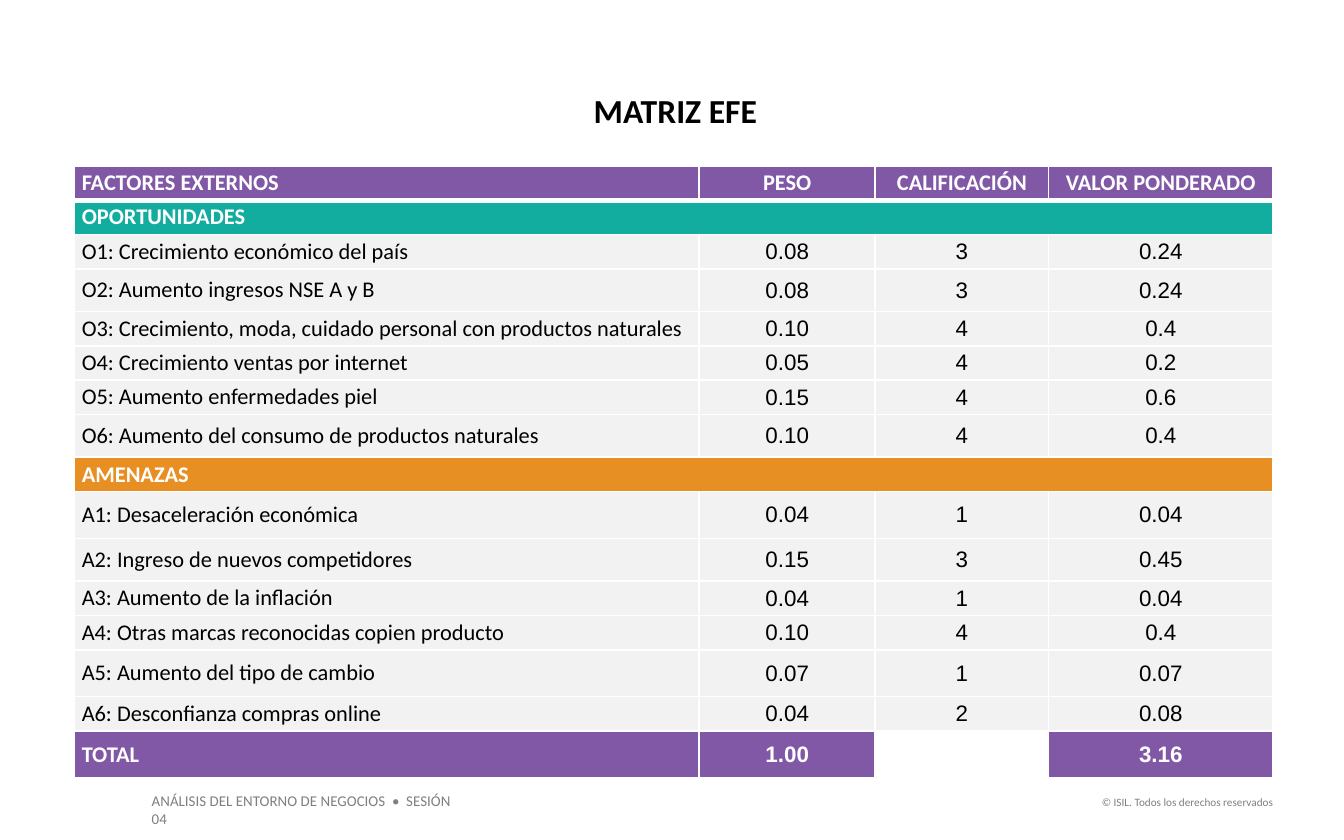
from lxml import etree
from pptx import Presentation
from pptx.dml.color import RGBColor
from pptx.enum import text as t
from pptx.oxml import ns
from pptx.util import Pt

PURPLE = RGBColor(0x80, 0x58, 0xA6)
TEAL = RGBColor(0x13, 0xAD, 0xA0)
ORANGE = RGBColor(0xE8, 0x8F, 0x23)
PALE = RGBColor(0xF2, 0xF2, 0xF2)
GREY = RGBColor(0x7F, 0x7F, 0x7F)
WHITE = RGBColor(0xFF, 0xFF, 0xFF)
BLACK = RGBColor(0, 0, 0)

SHORT, MEDIUM, TALL = 18.4, 22.9, 25.1
COLUMN_WIDTHS = (334.8, 94.3, 92.9, 120.2)

HEADINGS = ("FACTORES EXTERNOS", "PESO", "CALIFICACIÓN", "VALOR PONDERADO")
OPPORTUNITIES = [
    (SHORT, "O1: Crecimiento económico del país", "0.08", "3", "0.24"),
    (MEDIUM, "O2: Aumento ingresos NSE A y B", "0.08", "3", "0.24"),
    (SHORT, "O3: Crecimiento, moda, cuidado personal con productos naturales",
     "0.10", "4", "0.4"),
    (SHORT, "O4: Crecimiento ventas por internet", "0.05", "4", "0.2"),
    (SHORT, "O5: Aumento enfermedades piel", "0.15", "4", "0.6"),
    (MEDIUM, "O6: Aumento del consumo de productos naturales", "0.10", "4", "0.4"),
]
THREATS = [
    (TALL, "A1: Desaceleración económica", "0.04", "1", "0.04"),
    (MEDIUM, "A2: Ingreso de nuevos competidores", "0.15", "3", "0.45"),
    (SHORT, "A3: Aumento de la inflación", "0.04", "1", "0.04"),
    (SHORT, "A4: Otras marcas reconocidas copien producto", "0.10", "4", "0.4"),
    (TALL, "A5: Aumento del tipo de cambio", "0.07", "1", "0.07"),
    (SHORT, "A6: Desconfianza compras online", "0.04", "2", "0.08"),
]
TOTALS = ("TOTAL", "1.00", "", "3.16")


def format_text(frame, size, color, bold=False, font="Calibri", align=t.PP_ALIGN.LEFT):
    for paragraph in frame.paragraphs:
        paragraph.alignment = align
        for run in paragraph.runs:
            run.font.size = Pt(size)
            run.font.name = font
            run.font.bold = bold
            run.font.color.rgb = color


def add_title(slide, wording):
    title = slide.shapes.title
    title.left, title.top, title.width, title.height = Pt(40.3), Pt(48.2), Pt(643), Pt(21.6)
    frame = title.text_frame
    frame.text = wording
    frame.margin_left = frame.margin_right = frame.margin_top = frame.margin_bottom = 0
    frame.vertical_anchor = t.MSO_ANCHOR.TOP
    format_text(frame, 18, BLACK, bold=True, align=t.PP_ALIGN.CENTER)


def add_footer(slide, wording, left, top, width, height, size, align):
    frame = slide.shapes.add_textbox(Pt(left), Pt(top), Pt(width), Pt(height)).text_frame
    frame.word_wrap = True
    frame.text = wording
    format_text(frame, size, GREY, align=align)


def set_borders(cell, widths):
    """Draw white borders; widths maps the sides L, R, T and B to points."""
    properties = cell._tc.get_or_add_tcPr()
    for side, width in widths.items():
        line = etree.SubElement(properties, ns.qn(f"a:ln{side}"), w=str(Pt(width)))
        fill = etree.SubElement(line, ns.qn("a:solidFill"))
        etree.SubElement(fill, ns.qn("a:srgbClr"), val=str(WHITE))


def fill_row(table, index, height, values, fill, color=WHITE, bold=True, number_font="Arial"):
    """Fill one row; a single value becomes a band across all columns."""
    row = table.rows[index]
    row.height = Pt(height)
    cells = list(row.cells)
    if len(values) == 1:
        cells[0].merge(cells[-1])
        values = (*values, "", "", "")
    for column, (cell, value) in enumerate(zip(cells, values)):
        set_borders(cell, {"L": 1, "R": 1, "T": 3 if index == 1 else 1,
                           "B": 3 if index == 0 else 1})
        cell.fill.solid()
        cell.fill.fore_color.rgb = fill if value or cell.is_spanned else WHITE
        cell.vertical_anchor = t.MSO_ANCHOR.MIDDLE
        cell.margin_left = cell.margin_right = Pt(4)
        cell.margin_top = cell.margin_bottom = Pt(1.8)
        if value:
            cell.text_frame.text = value
            format_text(cell.text_frame, 12, color, bold,
                        number_font if column else "Calibri",
                        t.PP_ALIGN.CENTER if column else t.PP_ALIGN.LEFT)


def add_matrix(slide):
    row_count = len(OPPORTUNITIES) + len(THREATS) + 4
    table = slide.shapes.add_table(row_count, len(HEADINGS), Pt(39.8), Pt(88.8),
                                   Pt(sum(COLUMN_WIDTHS)), Pt(328)).table
    table.first_row = table.horz_banding = False
    for column, width in zip(table.columns, COLUMN_WIDTHS):
        column.width = Pt(width)

    fill_row(table, 0, SHORT, HEADINGS, PURPLE, number_font="Calibri")
    index = 1
    for name, color, factors in (("OPORTUNIDADES", TEAL, OPPORTUNITIES),
                                 ("AMENAZAS", ORANGE, THREATS)):
        fill_row(table, index, SHORT, (name,), color)
        for index, (height, *values) in enumerate(factors, index + 1):
            fill_row(table, index, height, values, PALE, BLACK, bold=False)
        index += 1
    fill_row(table, index, TALL, TOTALS, PURPLE)


def main():
    deck = Presentation()
    deck.slide_width, deck.slide_height = Pt(720), Pt(450)
    slide = deck.slides.add_slide(deck.slide_layouts[5])
    add_footer(slide, "ANÁLISIS DEL ENTORNO DE NEGOCIOS  •  SESIÓN 04",
               74.2, 420.5, 184.3, 17.3, 8, t.PP_ALIGN.LEFT)
    add_footer(slide, "© ISIL. Todos los derechos reservados",
               579.6, 422.6, 109.4, 14.4, 6, t.PP_ALIGN.RIGHT)
    add_matrix(slide)
    add_title(slide, "MATRIZ EFE")
    deck.save("out.pptx")


if __name__ == "__main__":
    main()
